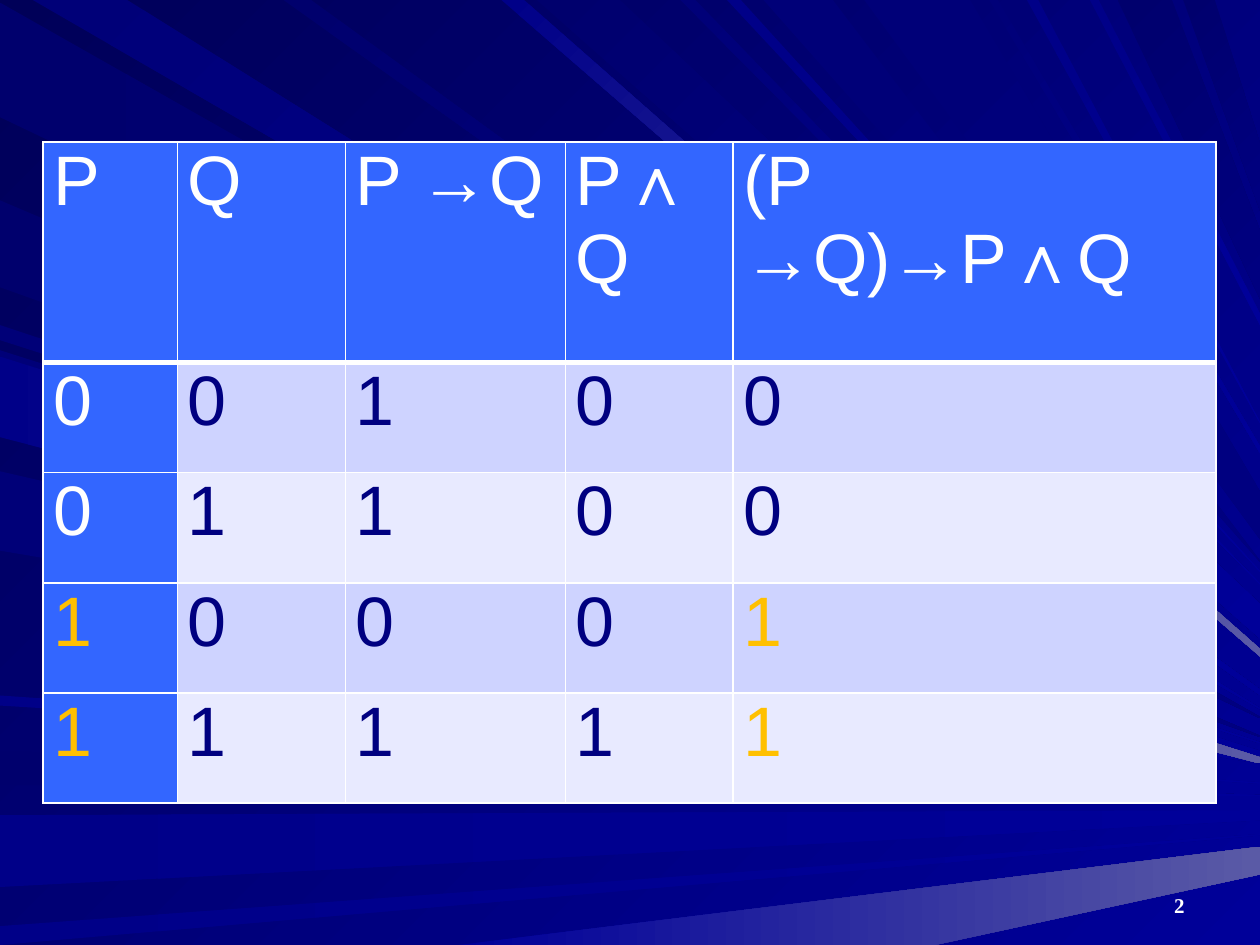
import dataclasses
import itertools

import lxml.etree
import pptx
import pptx.dml.color
import pptx.enum.text
import pptx.oxml.ns
import pptx.util

Cm = pptx.util.Cm
Pt = pptx.util.Pt
ALIGN = pptx.enum.text.PP_ALIGN
WIDE, HIGH = 25.4, 19.05
UNIT = WIDE / 1000


@dataclasses.dataclass
class Theme:
    dark: str = "000058"
    dusk: str = "00006D"
    dim: str = "000078"
    navy: str = "000080"
    mid: str = "000088"
    deep: str = "000099"
    glow: str = "5A5AA6"
    head: str = "3366FF"
    odd: str = "CED3FF"
    even: str = "E8EAFF"
    white: str = "FFFFFF"
    mark: str = "FFC000"
    sans: str = "Arial"
    serif: str = "Times New Roman"
    big: int = 40
    small: int = 12


# Rays run from a span on one side to the right edge, on a grid 1000 wide:
# side, first tone, last tone, span start and end, height at right, thickness
RAYS = [
    ("left", "dusk", "navy", 2, 93, 569),
    ("top", "dim", "deep", 26, 101, 562),
    ("left", "dusk", "deep", 596, 623, 631),
    ("left", "mid", "deep", 647, 704, 643, 8),
    ("left", "mid", "deep", 735, 750, 662),
    ("base", "deep", "glow", 364, 742, 672, 22),
    ("left", "dim", "deep", 258, 270, 589),
    ("left", "dusk", "navy", 159, 228, 584),
    ("top", "mid", "glow", 398, 416, 515, 6),
    ("top", "dusk", "deep", 426, 492, 479, 28),
    ("top", "dim", "deep", 540, 552, 463),
    ("top", "dim", "navy", 606, 661, 445),
    ("top", "dusk", "navy", 887, 930, 183, 54),
    ("top", "dusk", "navy", 939, 964, 114, 53),
    ("left", "dim", "deep", 278, 342, 596, 6),
    ("left", "dim", "deep", 374, 437, 605),
    ("left", "mid", "deep", 552, 560, 621),
    ("top", "dusk", "deep", 225, 247, 547, 5),
    ("top", "mid", "deep", 577, 588, 453),
    ("top", "dim", "navy", 686, 770, 390, 38),
    ("top", "dim", "deep", 785, 792, 354, 6),
    ("top", "mid", "deep", 815, 824, 335),
    ("top", "mid", "deep", 865, 872, 249, 9),
    ("left", "mid", "glow", 283, 347, 601, 5),
]


class Deck:
    def __init__(self, theme):
        self.theme = theme
        self.prs = pptx.Presentation()
        self.prs.slide_width, self.prs.slide_height = Cm(WIDE), Cm(HIGH)
        self.slide = self.prs.slides.add_slide(self.prs.slide_layouts[6])

    def tint(self, tone):
        return pptx.dml.color.RGBColor.from_string(tone)

    def blend(self, fill, first, last, angle):
        fill.gradient()
        fill.gradient_angle = (360 - angle) % 360
        for stop, tone in zip(fill.gradient_stops, (first, last)):
            stop.color.rgb = self.tint(tone)

    def style(self, para, align, face, size, tone, bold=False):
        para.alignment = align
        for run in para.runs:
            run.font.name, run.font.size, run.font.bold = face, Pt(size), bold
            run.font.color.rgb = self.tint(tone)

    def ray(self, side, first, last, start, end, height, thick=1):
        right = [(1000, height), (1000, height + thick)]
        if side == "left":
            span = [(0, end), (0, start)]
        elif side == "top":
            span = [(start, 0), (end, 0)]
        else:
            span = [(end, 750), (start, 750)]
        points = span + right
        pen = self.slide.shapes.build_freeform(*points[0], scale=Cm(UNIT))
        pen.add_line_segments(points[1:], close=True)
        shape = pen.convert_to_shape()
        shape.shadow.inherit = False
        shape.line.fill.background()
        self.blend(shape.fill, getattr(self.theme, first),
                   getattr(self.theme, last), 45 if side == "top" else 0)

    def edge(self, cell, widths):
        props = cell._tc.get_or_add_tcPr()
        name = pptx.oxml.ns.qn
        for spot, (side, width) in enumerate(zip("LRTB", widths)):
            line = lxml.etree.Element(name("a:ln" + side), w=str(Pt(width)))
            fill = lxml.etree.SubElement(line, name("a:solidFill"))
            lxml.etree.SubElement(fill, name("a:srgbClr"), val=self.theme.white)
            props.insert(spot, line)

    def grid(self, rows, left, top, wide, high):
        theme = self.theme
        frame = self.slide.shapes.add_table(
            len(rows), len(wide), Cm(left), Cm(top), Cm(sum(wide)), Cm(sum(high)))
        table = frame.table
        table.first_row = table.horz_banding = False
        for col, width in zip(table.columns, wide):
            col.width = Cm(width)
        for row, height in zip(table.rows, high):
            row.height = Cm(height)
        for r, row in enumerate(rows):
            for c, text in enumerate(row):
                cell = table.cell(r, c)
                cell.margin_left = cell.margin_right = Cm(0.2)
                cell.margin_top = cell.margin_bottom = 0
                cell.text_frame.text = text
                head = r == 0 or c == 0
                band = theme.head if head else theme.odd if r % 2 else theme.even
                tone = theme.white if head else theme.navy
                # True values of P and of the whole formula stand out
                if text == "1" and c in (0, len(row) - 1):
                    tone = theme.mark
                cell.fill.solid()
                cell.fill.fore_color.rgb = self.tint(band)
                self.edge(cell, (1, 1, 1, 1 if r else 3))
                self.style(cell.text_frame.paragraphs[0], ALIGN.JUSTIFY,
                           theme.sans, theme.big, tone)

    def label(self, text, left, top, width, height):
        box = self.slide.shapes.add_textbox(Cm(left), Cm(top), Cm(width), Cm(height))
        frame = box.text_frame
        frame.word_wrap = True
        frame.vertical_anchor = pptx.enum.text.MSO_ANCHOR.BOTTOM
        frame.text = text
        self.style(frame.paragraphs[0], ALIGN.RIGHT, self.theme.serif,
                   self.theme.small, self.theme.white, True)


def truth():
    rows = [["P", "Q", "P →Q", "P∧Q", "(P →Q)→P∧Q"]]
    for p, q in itertools.product((0, 1), repeat=2):
        then, both = int(p <= q), p & q
        rows.append([str(v) for v in (p, q, then, both, int(then <= both))])
    return rows


def main():
    deck = Deck(Theme())

    # Backdrop with light rays
    deck.blend(deck.slide.background.fill, deck.theme.dark, deck.theme.deep, 45)
    for ray in RAYS:
        deck.ray(*ray)

    # Truth table
    deck.grid(truth(), 0.87, 2.86,
              [2.71, 3.38, 4.44, 3.38, 9.73], [4.45] + [2.22] * 4)

    # Page number
    deck.label("2", 18.2, 17.36, 5.93, 1.27)

    deck.prs.save("out.pptx")


if __name__ == "__main__":
    main()
